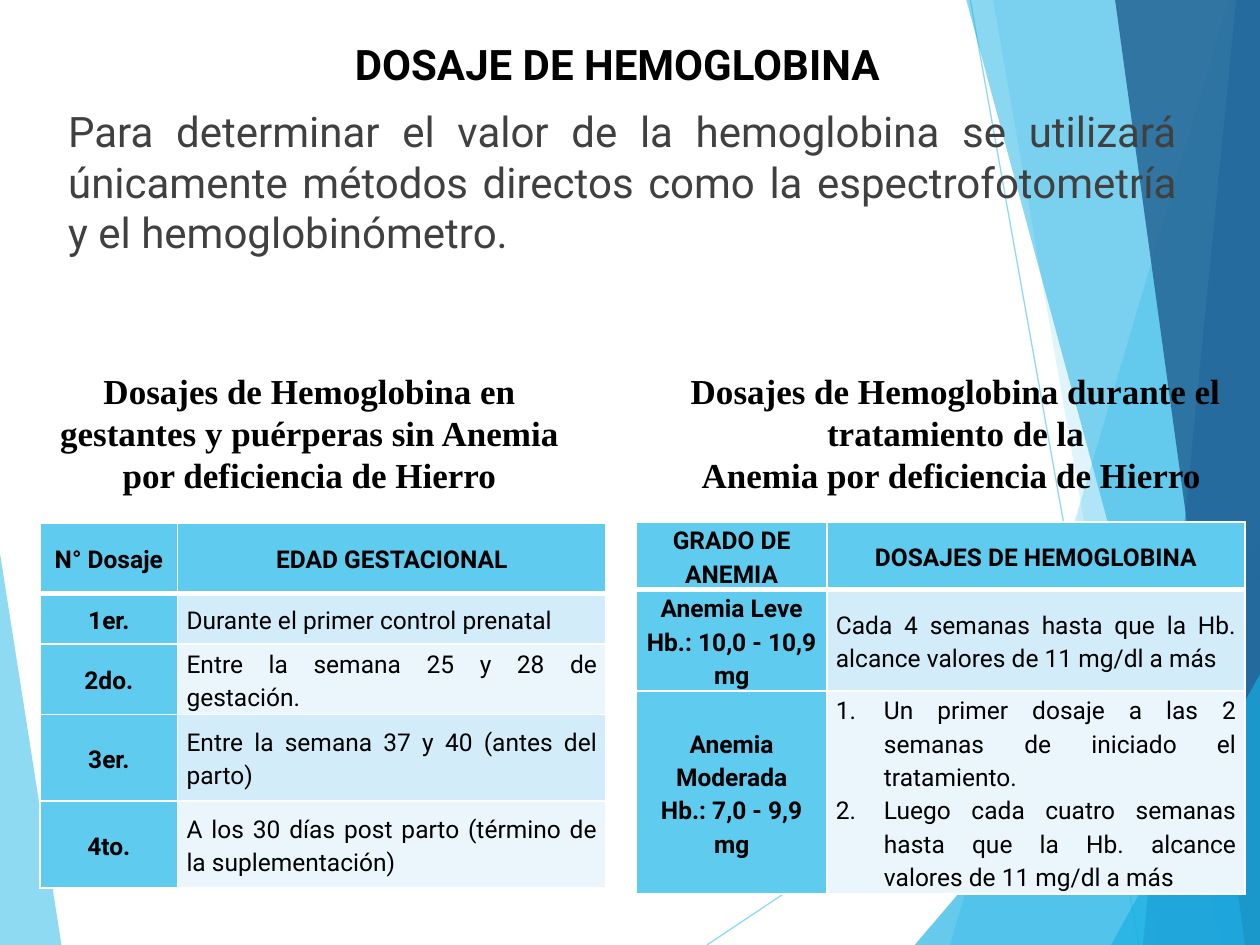
from lxml import etree
from pptx import Presentation
from pptx import util as u
from pptx.dml import color
from pptx.enum import shapes, text
from pptx.oxml import ns

CENTER, JUSTIFY = text.PP_ALIGN.CENTER, text.PP_ALIGN.JUSTIFY
SKY, AZURE, BLUE, NAVY, WHITE = "5FCBEF", "17B0E4", "2E83C3", "226292", "FFFFFF"
BANDS = ["D2ECF9", "EAF6FC"]


def sub(parent, tag, **attrs):
    return etree.SubElement(parent, ns.qn(tag), attrs)


def paint(fill, hex_color, alpha=100):
    fill.solid()
    fill.fore_color.rgb = color.RGBColor.from_string(hex_color)
    if alpha < 100:
        clr = fill._xPr.find(".//" + ns.qn("a:srgbClr"))
        sub(clr, "a:alpha", val=str(alpha * 1000))


def write(tf, txt, size=14, font="Roboto", hex_color="000000", bold=False,
          align=CENTER, before=0, spacing=1.0, bullet=None, hang=0):
    p = tf.add_paragraph() if tf.text else tf.paragraphs[0]
    p.alignment, p.line_spacing = align, spacing
    p.space_before, p.space_after = u.Pt(before), u.Pt(0)
    pPr = p._p.get_or_add_pPr()
    pPr.set("marL", str(u.Cm(hang)))
    pPr.set("indent", str(-u.Cm(hang)))
    if bullet:
        sub(pPr, "a:buAutoNum", type=bullet)
    else:
        sub(pPr, "a:buNone")
    r = p.add_run()
    r.text = txt
    r.font.size, r.font.name, r.font.bold = u.Pt(size), font, bold
    paint(r.font.fill, hex_color)


def backdrop(s, x, y, w, h):
    def polygon(points, hex_color, alpha):
        pts = [(u.Cm(x + px), u.Cm(y + py)) for px, py in points]
        fb = s.shapes.build_freeform(*pts[0])
        fb.add_line_segments(pts[1:], close=True)
        sp = fb.convert_to_shape()
        sp.shadow.inherit = False
        sp.line.fill.background()
        paint(sp.fill, hex_color, alpha)

    def ray(x1, y1, x2, y2):
        ln = s.shapes.add_connector(shapes.MSO_CONNECTOR.STRAIGHT, u.Cm(x + x1),
                                    u.Cm(y + y1), u.Cm(x + x2), u.Cm(y + y2))
        ln.line.width = u.Pt(0.75)
        paint(ln.line.fill, SKY, 70)
        sub(ln.element.spPr, "a:effectLst")

    polygon([(0, 11.15), (1.24, h), (0, h)], SKY, 70)
    ray(14.25, h, w, 11.61)
    ray(19.56, 0, 22.96, h)
    for top, bottom, start, hex_color, alpha in [
            (24.77, 19.15, 0, SKY, 36), (20.02, 23.34, 0, SKY, 20),
            (w, 18.44, 10.9, AZURE, 66), (19.48, 24.64, 0, AZURE, 50),
            (24.92, 23.04, 0, BLUE, 70), (22.48, 25.1, 0, NAVY, 82),
            (w, 22.4, 13.59, AZURE, 66)]:
        polygon([(top, start), (bottom, h), (w, h), (w, start)], hex_color, alpha)


def intro(s, x, y, w, h):
    sp = s.placeholders[1]
    s.shapes.element.append(sp.element)
    sp.left, sp.top, sp.width, sp.height = map(u.Cm, (x, y, w, h))
    tf = sp.text_frame
    tf.auto_size = text.MSO_AUTO_SIZE.NONE
    write(tf, "DOSAJE DE HEMOGLOBINA ", size=24, bold=True)
    write(tf, "Para determinar el valor de la hemoglobina se utilizará únicamente métodos "
          "directos como la espectrofotometría y el hemoglobinómetro. ",
          size=24, hex_color="404040", align=JUSTIFY, before=10)


def caption(s, x, y, w, h, lines):
    tf = s.shapes.add_textbox(*map(u.Cm, (x, y, w, h))).text_frame
    tf.word_wrap = True
    for line in lines:
        write(tf, line, size=20, font="Times New Roman", bold=True)


def style_cell(cell, hex_color, header):
    cell.margin_left = cell.margin_right = u.Cm(0.18)
    cell.margin_top = cell.margin_bottom = 0
    cell.vertical_anchor = text.MSO_ANCHOR.MIDDLE
    tcPr = cell._tc.get_or_add_tcPr()
    for side, under in (("L", 0), ("R", 0), ("T", header == "above"), ("B", header == "here")):
        ln = sub(tcPr, "a:ln" + side, w=str(u.Pt(3 if under else 1)))
        sub(sub(ln, "a:solidFill"), "a:srgbClr", val=WHITE)
    paint(cell.fill, hex_color)


def dosage_table(s, x, y, cols, heights, rows):
    tbl = s.shapes.add_table(len(rows), len(cols), u.Cm(x), u.Cm(y),
                             u.Cm(sum(cols)), u.Cm(sum(heights))).table
    for col, width in zip(tbl.columns, cols):
        col.width = u.Cm(width)
    for i, (row, height) in enumerate(zip(rows, heights)):
        tbl.rows[i].height = u.Cm(height)
        for j, lines in enumerate(row):
            cell = tbl.cell(i, j)
            label = i == 0 or j == 0
            style_cell(cell, SKY if label else BANDS[(i - 1) % 2],
                       {0: "here", 1: "above"}.get(i))
            numbered = not label and len(lines) > 1
            for line in lines:
                write(cell.text_frame, line, bold=label, spacing=1.15,
                      align=CENTER if label else JUSTIFY,
                      bullet="arabicPeriod" if numbered else None,
                      hang=0.97 if numbered else 0)


def main():
    prs = Presentation()
    prs.slide_width, prs.slide_height = u.Cm(25.4), u.Cm(19.05)
    s = prs.slides.add_slide(prs.slide_layouts[1])
    title = s.shapes.title.element
    title.getparent().remove(title)
    backdrop(s, 0, 0, 25.4, 19.05)
    intro(s, 1.12, 0.64, 22.86, 12.57)
    dosage_table(s, 0.81, 10.54, [2.77, 8.64], [1.42, 1.02, 1.42, 1.75, 1.75], [
        [["N° Dosaje"], ["EDAD GESTACIONAL"]],
        [["1er."], ["Durante el primer control prenatal"]],
        [["2do."], ["Entre la semana 25 y 28 de gestación."]],
        [["3er."], ["Entre la semana 37 y 40 (antes del parto)"]],
        [["4to."], ["A los 30 días post parto (término de la suplementación)"]]])
    caption(s, 0.64, 7.32, 11.2, 2.82, [
        "Dosajes de Hemoglobina en gestantes y puérperas sin Anemia por deficiencia de Hierro"])
    dosage_table(s, 12.83, 10.52, [3.84, 8.43], [1.37, 2.03, 4.09], [
        [["GRADO DE ANEMIA"], ["DOSAJES DE HEMOGLOBINA"]],
        [["Anemia Leve", "Hb.: 10,0 - 10,9 mg"],
         ["Cada 4 semanas hasta que la Hb. alcance valores de 11 mg/dl a más"]],
        [["Anemia Moderada", "Hb.: 7,0 - 9,9 mg"],
         ["Un primer dosaje a las 2 semanas de iniciado el tratamiento.",
          "Luego cada cuatro semanas hasta que la Hb. alcance valores de 11 mg/dl a más"]]])
    caption(s, 13.36, 7.32, 11.81, 3.58, [
        "Dosajes de Hemoglobina durante el tratamiento de la",
        "Anemia por deficiencia de Hierro "])
    prs.save("out.pptx")


if __name__ == "__main__":
    main()
